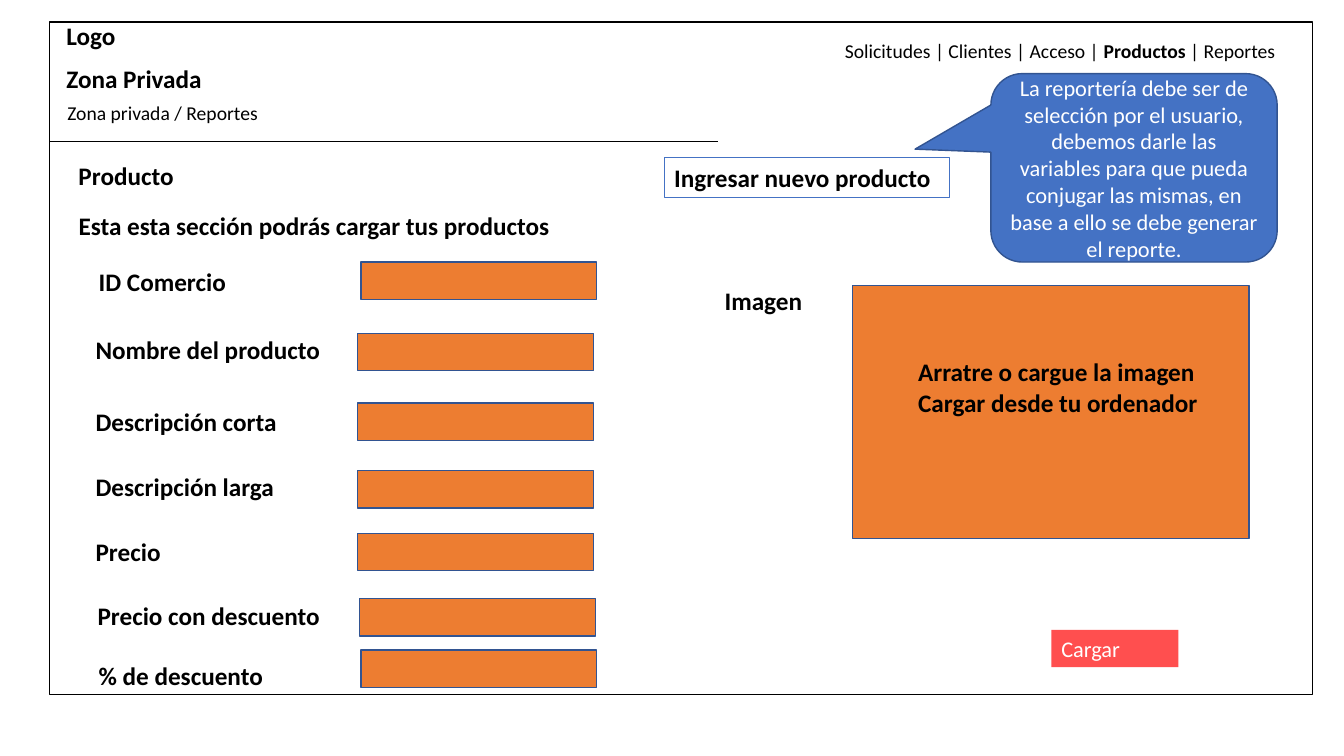
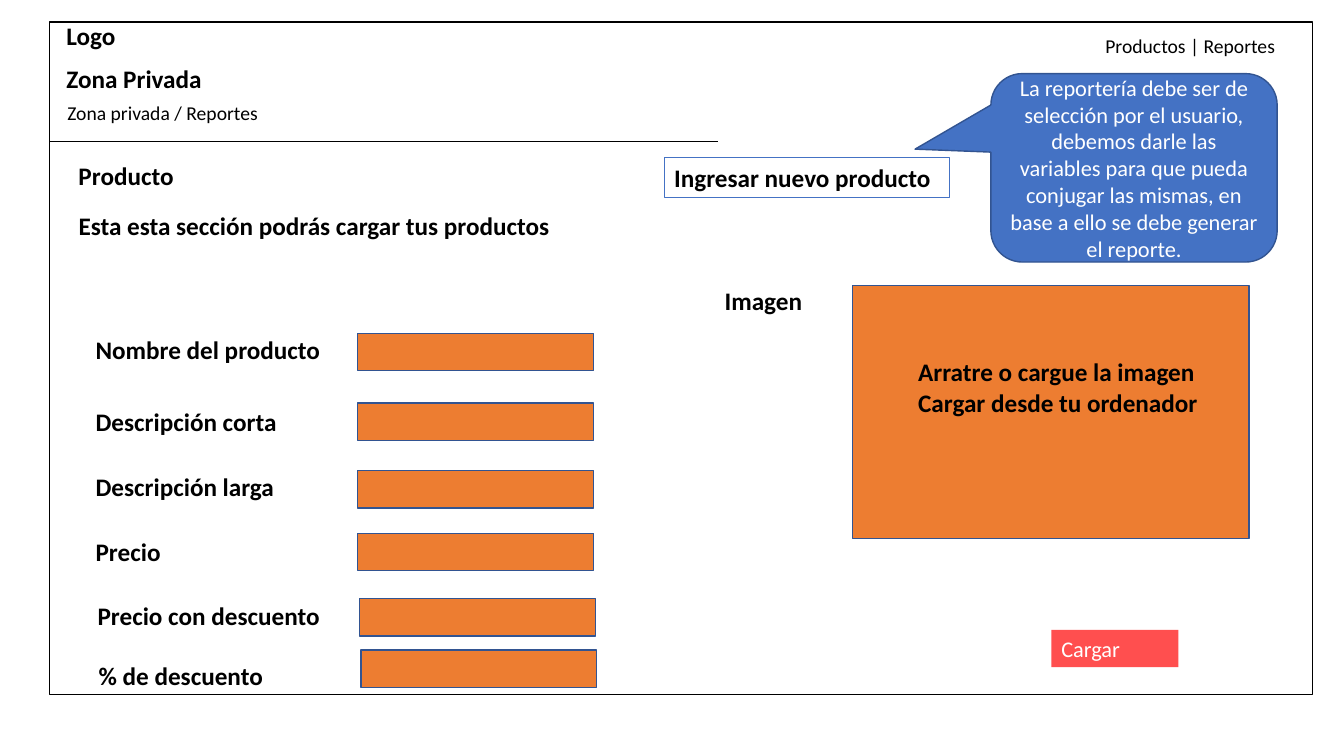
from pptx import Presentation
from pptx.dml.color import RGBColor
from pptx.enum.shapes import MSO_CONNECTOR, MSO_SHAPE
from pptx.enum.text import MSO_ANCHOR, PP_ALIGN
from pptx.oxml.ns import qn
from pptx.util import Pt
from lxml.etree import SubElement

COLORS = {
    "ink": "000000",
    "paper": "FFFFFF",
    "note": "4472C4",
    "outline": "325491",
    "field": "ED7D31",
    "action": "FF4F4F",
}
FONT = "Calibri"
HEADING = {"size": 18, "bold": True}
SMALL = {"size": 14}
LIGHT = {"size": 16, "color": "paper"}

NOTE = (
    "La reportería debe ser de selección por el usuario, debemos darle las "
    "variables para que pueda conjugar las mismas, en base a ello se debe "
    "generar el reporte."
)
HEADINGS = [
    ("Logo", 40.3, 10.8, 103),
    ("Zona Privada", 40.3, 41.8, 166),
    ("Producto", 49, 110.9, 166),
    ("Esta esta sección podrás cargar tus productos", 49, 146.9, 497),
    ("Imagen", 510.5, 200.2, 107),
]
FIELD_OFFSET = 194.4
PRODUCT_FIELDS = [
    ("Nombre del producto", 61.2, 235.4, 238.3),
    ("Descripción corta", 61.2, 286.6, 288),
    ("Descripción larga", 61.2, 333.4, 336.2),
    ("Precio", 61.2, 379.4, 380.9),
    ("Precio con descuento", 62.6, 425.5, 427.7),
    ("% de descuento", 63.4, 468, 464.4),
]
MERCHANT_FIELD = ("ID Comercio", 63.4, 186.5, 187.2)


class Wireframe:
    def __init__(self):
        self.deck = Presentation()
        self.deck.slide_width, self.deck.slide_height = Pt(960), Pt(540)
        self.slide = None

    def new_slide(self):
        self.slide = self.deck.slides.add_slide(self.deck.slide_layouts[6])

    def fill_text(self, frame, paragraphs, size, color="ink", bold=False,
                  align=PP_ALIGN.LEFT, anchor=MSO_ANCHOR.TOP, wrap=True):
        for name, value in {"word_wrap": wrap, "vertical_anchor": anchor}.items():
            setattr(frame, name, value)
        for index, pieces in enumerate(paragraphs):
            paragraph = frame.paragraphs[0] if index == 0 else frame.add_paragraph()
            paragraph.alignment = align
            for words, strong in pieces:
                run = paragraph.add_run()
                run.text = words
                style = {"name": FONT, "size": Pt(size), "bold": bold or strong}
                for name, value in style.items():
                    setattr(run.font, name, value)
                run.font.color.rgb = RGBColor.from_string(COLORS[color])

    def text(self, paragraphs, left, top, width, height=28.8, **style):
        box = self.slide.shapes.add_textbox(Pt(left), Pt(top), Pt(width), Pt(height))
        self.fill_text(box.text_frame, paragraphs, **style)

    def heading(self, words, left, top, width):
        self.text([[(words, False)]], left, top, width, **HEADING)

    def shape(self, left, top, width, height, fill=None, line=None, weight=1,
              preset=MSO_SHAPE.RECTANGLE, adjustments=(), words=None, **style):
        shape = self.slide.shapes.add_shape(
            preset, Pt(left), Pt(top), Pt(width), Pt(height))
        shape.shadow.inherit = False
        for index, value in enumerate(adjustments):
            shape.adjustments[index] = value
        if fill:
            shape.fill.solid()
            shape.fill.fore_color.rgb = RGBColor.from_string(COLORS[fill])
        else:
            shape.fill.background()
        if line:
            shape.line.color.rgb = RGBColor.from_string(COLORS[line])
            shape.line.width = Pt(weight)
        else:
            shape.line.fill.background()
        if words:
            self.fill_text(shape.text_frame, [[(words, False)]], **style)

    def rule(self, left, right, y):
        rule = self.slide.shapes.add_connector(
            MSO_CONNECTOR.STRAIGHT, Pt(left), Pt(y), Pt(right), Pt(y))
        rule.line.color.rgb = RGBColor.from_string(COLORS["ink"])
        rule.line.width = Pt(0.5)
        SubElement(rule._element.spPr, qn("a:effectLst"))

    def field(self, label, left, label_top, field_top):
        self.heading(label, left, label_top, 251)
        self.shape(left + FIELD_OFFSET, field_top, 168.5, 26.6,
                   fill="field", line="outline")

    def navigation(self, pieces, top):
        self.text([pieces], 580, top, 338, 24.5, align=PP_ALIGN.RIGHT, **SMALL)

    def product_page(self, menu, menu_top, fields):
        self.new_slide()
        self.shape(35.3, 15.8, 902.2, 480.2, line="ink")
        self.rule(35.3, 512.6, 100.8)
        for heading in HEADINGS:
            self.heading(*heading)
        self.text([[("Zona privada / Reportes", False)]], 41, 68.4, 160.6, 24.5,
                  wrap=False, **SMALL)
        self.shape(707.8, 52.6, 204.5, 134.6, fill="note", line="outline",
                   preset=MSO_SHAPE.ROUNDED_RECTANGULAR_CALLOUT,
                   adjustments=(-0.765, -0.099, 0.167), words=NOTE,
                   align=PP_ALIGN.CENTER, anchor=MSO_ANCHOR.MIDDLE, **LIGHT)
        self.shape(751, 450, 90.7, 26.6, fill="action", words="Cargar", **LIGHT)
        for field in fields:
            self.field(*field)
        self.shape(609.1, 203.8, 283, 180.7, fill="field", line="outline")
        self.text([[("Arratre o cargue la imagen", False)],
                   [("Cargar desde tu ordenador", False)]],
                  648.7, 251.3, 243.4, 51, **HEADING)
        self.shape(474.5, 112.3, 203.8, 28.8, line="note", weight=0.75,
                   words="Ingresar nuevo producto", **HEADING)
        self.navigation(menu, menu_top)


def main():
    wireframe = Wireframe()
    wireframe.product_page(
        [("Solicitudes | Clientes | Acceso | ", False), ("Productos", True),
         (" | Reportes", False)],
        24.5, [MERCHANT_FIELD] + PRODUCT_FIELDS)
    wireframe.product_page([("Productos | Reportes", False)], 20.9, PRODUCT_FIELDS)
    wireframe.deck.save("out.pptx")


if __name__ == "__main__":
    main()
